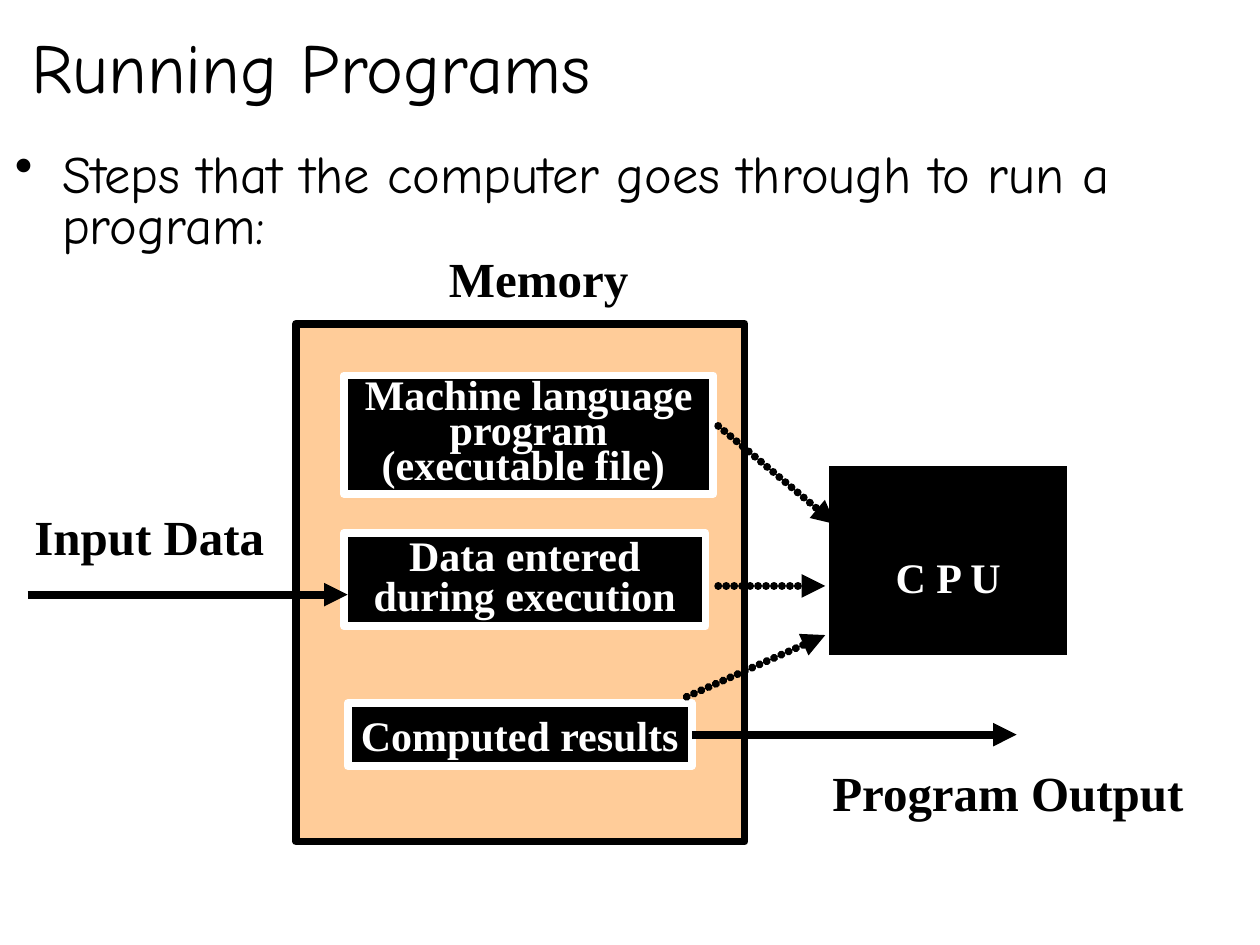
from dataclasses import dataclass
from typing import Optional

from lxml import etree
from pptx import Presentation
from pptx.dml.color import RGBColor
from pptx.enum.shapes import MSO_CONNECTOR, MSO_SHAPE
from pptx.enum.text import MSO_ANCHOR, PP_ALIGN
from pptx.oxml.ns import qn
from pptx.util import Pt

BLACK = RGBColor(0x00, 0x00, 0x00)
WHITE = RGBColor(0xFF, 0xFF, 0xFF)
PEACH = RGBColor(0xFF, 0xCC, 0x99)
SERIF, COMIC = "Times New Roman", "Comic Neue"
RECT, STRAIGHT = MSO_SHAPE.RECTANGLE, MSO_CONNECTOR.STRAIGHT
LEFT, CENTER = PP_ALIGN.LEFT, PP_ALIGN.CENTER
TOP, MIDDLE = MSO_ANCHOR.TOP, MSO_ANCHOR.MIDDLE
LINE_WIDTH = Pt(4.5)
RIGHT_SITE = 3


@dataclass
class Label:
    text: str
    x: float
    y: float
    w: float
    h: float
    size: float = 28
    font: str = SERIF
    bold: bool = True
    align: PP_ALIGN = CENTER
    anchor: MSO_ANCHOR = MIDDLE
    wrap: bool = False
    spacing: float = 1.0
    bullet: bool = False


@dataclass
class Block:
    x: float
    y: float
    w: float
    h: float
    text: str = ""
    fill: RGBColor = BLACK
    line: RGBColor = WHITE
    spacing: float = 1.0
    wrap: bool = True
    inset_top: float = 3.6


@dataclass
class Arrow:
    x1: float
    y1: float
    x2: float
    y2: float
    dotted: bool = False
    source: Optional[int] = None


BLOCKS = [
    Block(169.2, 185, 256.3, 295.9, fill=PEACH, line=BLACK),
    Block(196.6, 214.6, 211, 67.7, "Machine language program (executable file) ", spacing=0.7),
    Block(196.6, 304.6, 206.6, 53.3, "Data entered during execution", spacing=0.8),
    Block(198.7, 401.8, 196.6, 36, "Computed results", wrap=False),
    Block(471.6, 264.2, 140.4, 112.3, "C P U", inset_top=21.6),
]
RESULTS = 3

ARROWS = [
    Arrow(15.8, 339.8, 198.7, 339.8),
    Arrow(395.3, 419.8, 581, 419.8, source=RESULTS),
    Arrow(410.4, 243.4, 477.4, 299.5, dotted=True),
    Arrow(410.4, 334.8, 471.6, 334.8, dotted=True),
    Arrow(392.4, 398.2, 471.6, 362.9, dotted=True),
]

CAPTIONS = [
    Label("Memory", 249.1, 138.2, 117.4, 41),
    Label("Input Data", 12.2, 285.8, 146.2, 41),
    Label("Program Output", 468, 432, 216, 41),
]
HEADINGS = [
    Label("Steps that the computer goes through to run a program:", 1.4, 84.2, 718.6, 64.8,
          30, COMIC, False, LEFT, TOP, True, 0.8, True),
    Label("Running Programs", 10.8, 10.1, 381.6, 55.4, 40, COMIC, False, LEFT, TOP, True),
]


def add_run(p, text: str, size: float, font: str, bold: bool, color: RGBColor) -> None:
    """Append one formatted run to a paragraph."""
    r = p.add_run()
    r.text = text
    r.font.size = Pt(size)
    r.font.name = font
    r.font.bold = bold
    r.font.color.rgb = color


def add_bullet(p) -> None:
    """Give a paragraph a black bullet with a hanging indent."""
    pPr = p._p.get_or_add_pPr()
    pPr.set("marL", str(Pt(27)))
    pPr.set("indent", str(-Pt(27)))
    color = etree.SubElement(pPr, qn("a:buClr"))
    etree.SubElement(color, qn("a:srgbClr"), val=str(BLACK))
    etree.SubElement(pPr, qn("a:buChar"), char="•")


def add_label(s, label: Label) -> None:
    """Draw a text box."""
    box = s.shapes.add_textbox(Pt(label.x), Pt(label.y), Pt(label.w), Pt(label.h))
    tf = box.text_frame
    tf.word_wrap = label.wrap
    tf.vertical_anchor = label.anchor
    p = tf.paragraphs[0]
    p.alignment = label.align
    p.line_spacing = label.spacing
    if label.bullet:
        add_bullet(p)
    add_run(p, label.text, label.size, label.font, label.bold, BLACK)


def add_block(s, block: Block):
    """Draw an outlined rectangle with optional centred text."""
    sp = s.shapes.add_shape(RECT, Pt(block.x), Pt(block.y), Pt(block.w), Pt(block.h))
    sp.shadow.inherit = False
    sp.fill.solid()
    sp.fill.fore_color.rgb = block.fill
    sp.line.color.rgb = block.line
    sp.line.width = LINE_WIDTH
    if block.text:
        tf = sp.text_frame
        tf.word_wrap = block.wrap
        tf.vertical_anchor = MIDDLE
        tf.margin_top = Pt(block.inset_top)
        p = tf.paragraphs[0]
        p.alignment = CENTER
        p.line_spacing = block.spacing
        add_run(p, block.text, 24, SERIF, True, WHITE)
    return sp


def add_arrow(s, arrow: Arrow, blocks: list) -> None:
    """Draw a solid or round-dotted arrow."""
    c = s.shapes.add_connector(STRAIGHT, Pt(arrow.x1), Pt(arrow.y1), Pt(arrow.x2), Pt(arrow.y2))
    if arrow.source is not None:
        c.begin_connect(blocks[arrow.source], RIGHT_SITE)
    c.line.color.rgb = BLACK
    c.line.width = LINE_WIDTH
    ln = c.line._get_or_add_ln()
    if arrow.dotted:
        ln.set("cap", "rnd")
        dash = etree.SubElement(ln, qn("a:custDash"))
        etree.SubElement(dash, qn("a:ds"), d="1000", sp="100000")
    etree.SubElement(ln, qn("a:tailEnd"), type="triangle")
    etree.SubElement(c._element.spPr, qn("a:effectLst"))


def main() -> None:
    """Build the slide and save it."""
    prs = Presentation()
    prs.slide_width, prs.slide_height = Pt(720), Pt(540)
    s = prs.slides.add_slide(prs.slide_layouts[6])
    for caption in CAPTIONS:
        add_label(s, caption)
    blocks = [add_block(s, block) for block in BLOCKS]
    for arrow in ARROWS:
        add_arrow(s, arrow, blocks)
    for heading in HEADINGS:
        add_label(s, heading)
    prs.save("out.pptx")


if __name__ == "__main__":
    main()
